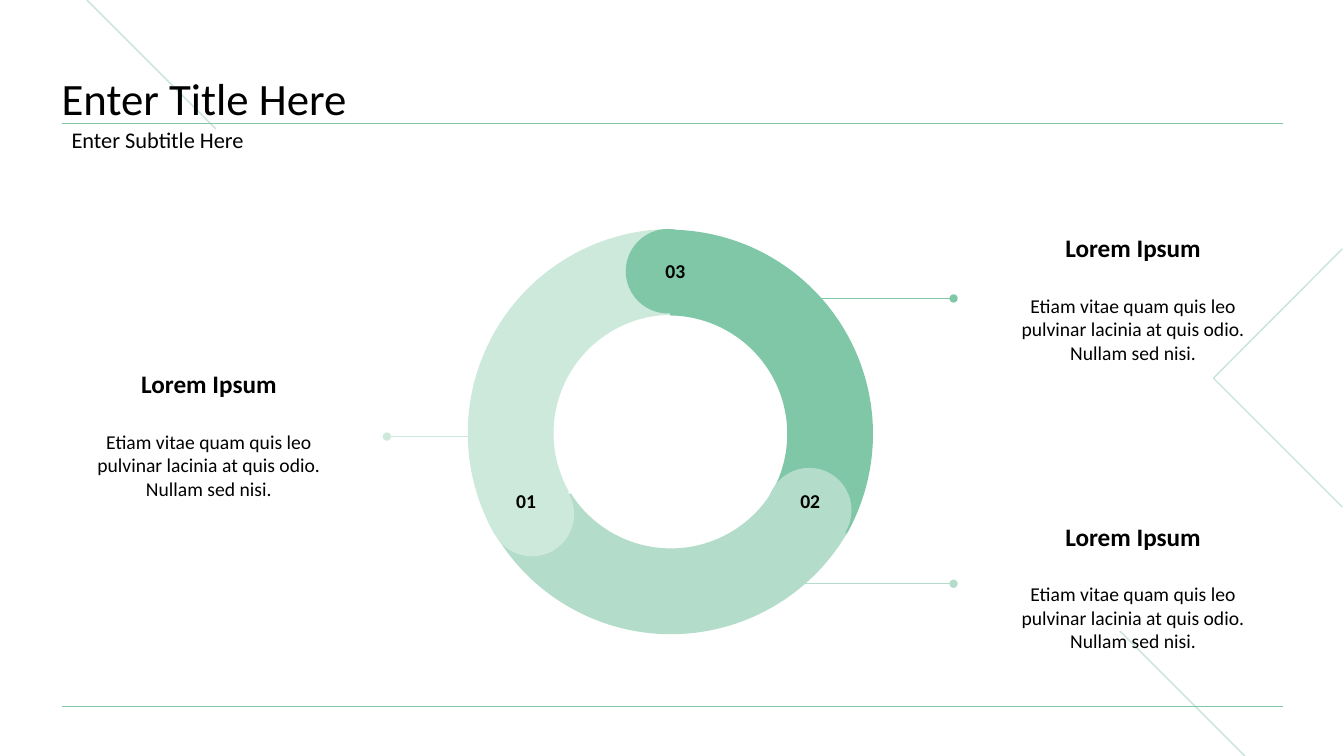
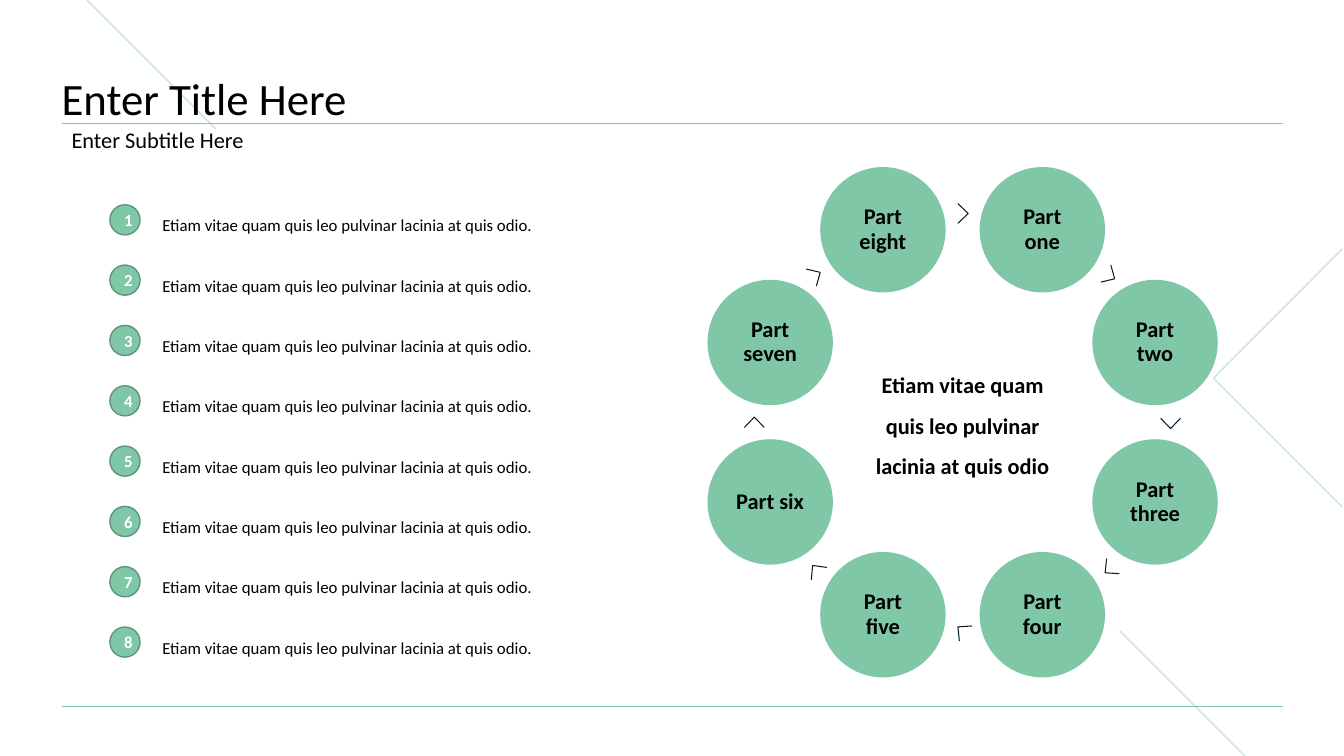
"""Build two green cycle slides: a three-part ring and an eight-part circle."""
from math import cos, radians, sin

from lxml import etree
from pptx import Presentation
from pptx import util as u
from pptx.dml.color import RGBColor
from pptx.enum import shapes as s, text as t
from pptx.oxml.ns import qn

HUES = {"dark": "80C7A7", "mid": "B3DDCA", "light": "CCE9DC", "deco": "C6E6D7",
        "edge": "5F937C", "navy": "051C2C", "ink": "000000", "white": "FFFFFF"}
HUES = {name: RGBColor.from_string(code) for name, code in HUES.items()}
FONT = "Calibri"
LOREM = "Etiam vitae quam quis leo pulvinar lacinia at quis odio"
OVAL = s.MSO_SHAPE.OVAL


def write(shape, words, size=14, bold=False, hue="ink", align="CENTER", anchor="MIDDLE",
          pad=None, lead=None, before=0, after=0, more=False):
    """Put one paragraph into a shape, as its first or as one more."""
    frame = shape.text_frame
    frame.word_wrap = True
    frame.auto_size = t.MSO_AUTO_SIZE.NONE
    frame.vertical_anchor = t.MSO_ANCHOR[anchor]
    if pad is not None:
        frame.margin_left = frame.margin_right = u.Cm(pad)
        frame.margin_top = frame.margin_bottom = u.Cm(pad)
    para = frame.add_paragraph() if more else frame.paragraphs[0]
    para.alignment = t.PP_ALIGN[align]
    para.space_before, para.space_after = u.Pt(before), u.Pt(after)
    if lead:
        para.line_spacing = lead
    run = para.add_run()
    run.text = words
    run.font.name, run.font.size, run.font.bold = FONT, u.Pt(size), bold
    run.font.color.rgb = HUES[hue]
    return para


def draw(slide, kind, x, y, size, hue, edge=None):
    """Add a filled shape with equal sides."""
    shape = slide.shapes.add_shape(kind, u.Cm(x), u.Cm(y), u.Cm(size), u.Cm(size))
    shape.shadow.inherit = False
    shape.fill.solid()
    shape.fill.fore_color.rgb = HUES[hue]
    if edge:
        shape.line.color.rgb = HUES[edge]
        shape.line.width = u.Pt(1)
    else:
        shape.line.fill.background()
    return shape


deck = Presentation()
deck.slide_width, deck.slide_height = u.Cm(33.87), u.Cm(19.05)
lay = deck.slide_layouts[1]
tree = lay.placeholders[0].element.getparent()
for hold in list(lay.placeholders):
    if hold.placeholder_format.idx >= 10:
        tree.remove(hold.element)
for hold, y, high in zip(lay.placeholders, (1.12, 3.12), (2.03, 0.86)):
    hold.left, hold.top, hold.width, hold.height = map(u.Cm, (1.55, y, 30.78, high))

ring, wheel = [deck.slides.add_slide(lay) for _ in range(2)]
for slide in (ring, wheel):
    write(slide.shapes.title, "Enter Title Here", size=32, align="LEFT", anchor="BOTTOM",
          pad=0, lead=0.9)
    para = write(slide.placeholders[1], "Enter Subtitle Here", size=16, align="LEFT",
                 lead=0.9, before=10)
    props = para._p.get_or_add_pPr()
    props.set("marL", "0")
    props.set("indent", "0")
    etree.SubElement(props, qn("a:buNone"))

rules = [(1.55, 17.81, 32.33, 17.81, "dark", 0.5, False),
         (1.55, 3.12, 32.33, 3.12, "dark", 0.5, False),
         (28.22, 15.9, 31.37, 19.05, "deco", 1, False),
         (2.19, 0, 5.44, 3.25, "deco", 1, False),
         (12.09, 11, 9.75, 11, "light", 0.75, True),
         (19.25, 7.52, 24.03, 7.52, "dark", 0.75, True),
         (19.25, 14.71, 24.03, 14.71, "mid", 0.75, True)]
for *ends, hue, wide, dot in rules:
    line = ring.shapes.add_connector(s.MSO_CONNECTOR.STRAIGHT, *map(u.Cm, ends))
    line.line.color.rgb = HUES[hue]
    line.line.width = u.Pt(wide)
    etree.SubElement(line.element.spPr, qn("a:effectLst"))
    if dot:
        etree.SubElement(line.line._get_or_add_ln(), qn("a:tailEnd"), type="oval")
    else:
        tree.insert(2, line.element)

angles = [(slide, points, turn, hue, wide) for slide, points, turn, hue, wide in [
    (ring, [(33.83, 6.27), (30.58, 9.53), (33.83, 12.78)], 0, "deco", 1)]]
for x, y, turn in [(27.98, 6.96, 30.4), (29.5, 10.67, 90), (27.95, 14.35, 139.9),
                   (24.24, 15.88, 220.1), (20.56, 14.35, 231.4), (19.01, 10.64, 270),
                   (20.56, 6.93, 329.6), (24.27, 5.38, 0)]:
    points = [(x - 0.13, y - 0.25), (x + 0.13, y), (x - 0.13, y + 0.25)]
    angles.append((wheel, points, turn, "navy", 0.75))
for slide, points, turn, hue, wide in angles:
    first, *rest = [(u.Cm(x), u.Cm(y)) for x, y in points]
    path = slide.shapes.build_freeform(*first)
    path.add_line_segments(rest, close=False)
    bend = path.convert_to_shape()
    bend.shadow.inherit = False
    bend.fill.background()
    bend.line.color.rgb = HUES[hue]
    bend.line.width = u.Pt(wide)
    bend.rotation = turn
    if hue == "deco":
        tree.insert(2, bend.element)

for x, y, turn, end, thick, hue in [(11.71, 5.79, 60, 197.82, 0.21, "dark"),
                                    (11.76, 5.69, 180, 196.63, 0.21, "mid"),
                                    (11.79, 5.77, 300, 197.03, 0.21, "light")]:
    arc = draw(ring, s.MSO_SHAPE.BLOCK_ARC, x, y, 10.29, hue)
    arc.rotation = turn
    for i, value in enumerate((126.23, end, thick)):
        arc.adjustments[i] = value

for mark, hue, x, y, left, top in [("01", "light", 12.34, 11.89, 12.32, 11.99),
                                   ("02", "mid", 19.33, 11.79, 19.48, 11.99),
                                   ("03", "dark", 15.77, 5.77, 16.08, 6.2)]:
    draw(ring, OVAL, x, y, 2.13, hue)
    box = ring.shapes.add_textbox(*map(u.Cm, (left, top, 1.88, 0.99)))
    write(box, mark, bold=True, anchor="TOP", pad=0.33)

for x, y, wide in [(1.52, 8.56, 7.49), (24.77, 5.13, 7.57), (24.77, 12.4, 7.57)]:
    box = ring.shapes.add_textbox(*map(u.Cm, (x, y, wide, 4.78)))
    write(box, "Lorem Ipsum", size=18, bold=True, pad=0.33, after=22)
    write(box, LOREM + ". Nullam sed nisi.", pad=0.33, more=True)

names = ["one", "two", "three", "four", "five", "six", "seven", "eight"]
for i, name in enumerate(names):
    drop = i * 1.52
    dot = draw(wheel, OVAL, 2.77, 5.16 + drop, 0.76, "dark", edge="edge")
    write(dot, str(i + 1), size=12, bold=True, hue="white")
    box = wheel.shapes.add_textbox(*map(u.Cm, (3.84, 4.98 + drop, 10.26, 1.14)))
    write(box, LOREM + ".", size=12, align="LEFT", lead=1.5)

    turn = radians(45 * i - 67.5)
    x, y = 24.26 + 5.25 * cos(turn), 10.64 + 5.25 * sin(turn)
    part = draw(wheel, OVAL, x - 1.58, y - 1.58, 3.16, "dark")
    write(part, "Part " + name, size=16, bold=True, pad=0.2, lead=0.9)

box = wheel.shapes.add_textbox(*map(u.Cm, (21.77, 8.97, 4.98, 3.15)))
write(box, LOREM, size=16, bold=True, lead=1.5)

deck.save("out.pptx")
